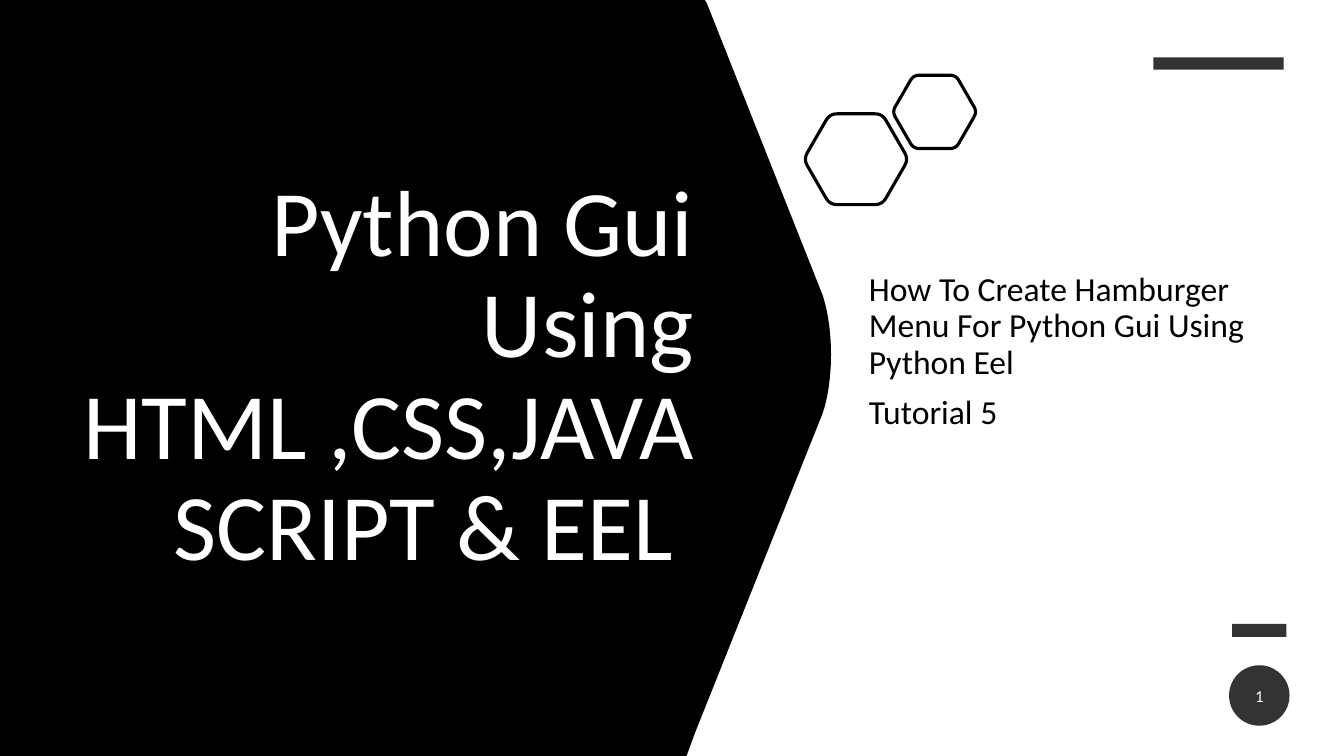
import math
from dataclasses import dataclass

from pptx import Presentation
from pptx.dml.color import RGBColor
from pptx.enum.shapes import MSO_SHAPE
from pptx.enum.text import MSO_ANCHOR, MSO_AUTO_SIZE, PP_ALIGN
from pptx.util import Inches, Pt

RECTANGLE, OVAL = MSO_SHAPE.RECTANGLE, MSO_SHAPE.OVAL
LEFT, CENTER, RIGHT = PP_ALIGN.LEFT, PP_ALIGN.CENTER, PP_ALIGN.RIGHT
MIDDLE, NO_FIT = MSO_ANCHOR.MIDDLE, MSO_AUTO_SIZE.NONE
TITLE_ONLY = 5
FONT = "Calibri"
BLACK, WHITE, CHARCOAL = "000000", "FFFFFF", "333333"

Point = tuple[float, float]


@dataclass
class Box:
    left: float
    top: float
    width: float
    height: float

    def lengths(self) -> list[int]:
        return [Inches(v) for v in (self.left, self.top, self.width, self.height)]


@dataclass
class Hexagon:
    center: Point
    radius: float


HEXAGONS = [Hexagon((8.49, 1.58), 0.52), Hexagon((9.27, 1.11), 0.42)]
BARS = [Box(11.44, 0.57, 1.29, 0.12), Box(12.22, 6.19, 0.54, 0.13)]


def rgb(color: str) -> RGBColor:
    return RGBColor.from_string(color)


def mix(a: Point, b: Point, t: float) -> Point:
    return a[0] + (b[0] - a[0]) * t, a[1] + (b[1] - a[1]) * t


def bezier(controls: list[Point], steps: int) -> list[Point]:
    """Sample a Bezier curve of any degree, ends included."""
    curve = []
    for i in range(steps + 1):
        points = controls
        while len(points) > 1:
            points = [mix(a, b, i / steps) for a, b in zip(points, points[1:])]
        curve.append(points[0])
    return curve


def rounded_hexagon(hexagon: Hexagon) -> list[Point]:
    cx, cy = hexagon.center
    corners = [(cx + hexagon.radius * math.cos(math.radians(a)),
                cy + hexagon.radius * math.sin(math.radians(a)))
               for a in range(0, 360, 60)]
    outline = []
    for i, corner in enumerate(corners):
        before, after = corners[i - 1], corners[(i + 1) % 6]
        outline += bezier([mix(corner, before, 0.14), corner, mix(corner, after, 0.14)], 6)
    return outline


def add_outline(shapes, points: list[Point], fill: str = "", line: str = "") -> None:
    """Draw a closed freeform from points in inches."""
    start, *rest = [(Inches(x), Inches(y)) for x, y in points]
    builder = shapes.build_freeform(*start)
    builder.add_line_segments(rest, close=True)
    paint(builder.convert_to_shape(), fill, line)


def paint(sp, fill: str = "", line: str = "") -> None:
    sp.shadow.inherit = False
    if fill:
        sp.fill.solid()
        sp.fill.fore_color.rgb = rgb(fill)
    else:
        sp.fill.background()
    if line:
        sp.line.color.rgb = rgb(line)
        sp.line.width = Pt(2.25)
    else:
        sp.line.fill.background()


def add_solid(shapes, kind, box: Box, fill: str):
    sp = shapes.add_shape(kind, *box.lengths())
    paint(sp, fill)
    return sp


def write(sp, *lines: str, size: float, color: str, align=LEFT,
          spacing: float = 1.0, before: float = 0) -> None:
    tf = sp.text_frame
    tf.word_wrap = True
    tf.auto_size = NO_FIT
    tf.vertical_anchor = MIDDLE
    for i, line in enumerate(lines):
        p = tf.add_paragraph() if i else tf.paragraphs[0]
        p.alignment = align
        p.line_spacing = spacing
        p.space_before = Pt(before)
        r = p.add_run()
        r.text = line
        r.font.name = FONT
        r.font.size = Pt(size)
        r.font.color.rgb = rgb(color)


def main() -> None:
    prs = Presentation()
    prs.slide_width, prs.slide_height = Inches(13.33), Inches(7.5)
    slide = prs.slides.add_slide(prs.slide_layouts[TITLE_ONLY])
    shapes = slide.shapes
    title = shapes.title

    tip = bezier([(8.16, 2.93), (8.27, 3.27), (8.27, 3.77), (8.16, 4.1)], 24)
    panel = [(0, 0), (6.99, 0), (7.01, 0.03), *tip, (6.89, 7.28), (6.81, 7.5), (0, 7.5)]
    add_outline(shapes, panel, fill=BLACK)

    group = shapes.add_group_shape()
    for hexagon in HEXAGONS:
        add_outline(group.shapes, rounded_hexagon(hexagon), line=BLACK)

    title.left, title.top, title.width, title.height = Box(0.59, 1.39, 6.39, 4.72).lengths()
    write(title, "Python Gui Using HTML ,CSS,JAVASCRIPT & EEL ",
          size=67, color=WHITE, align=RIGHT, spacing=0.9)
    shapes._spTree.append(title._element)

    subtitle = shapes.add_textbox(*Box(8.52, 2.46, 4.03, 2.57).lengths())
    subtitle.text_frame.margin_bottom = Inches(0.55)
    write(subtitle, "How To Create Hamburger Menu For Python Gui Using Python Eel",
          "Tutorial 5", size=24, color=BLACK, spacing=0.9, before=10)

    for bar in BARS:
        add_solid(shapes, RECTANGLE, bar, CHARCOAL)

    badge = add_solid(shapes, OVAL, Box(12.19, 6.6, 0.6, 0.6), CHARCOAL)
    write(badge, "1", size=12, color=WHITE, align=CENTER)

    prs.save("out.pptx")


if __name__ == "__main__":
    main()
